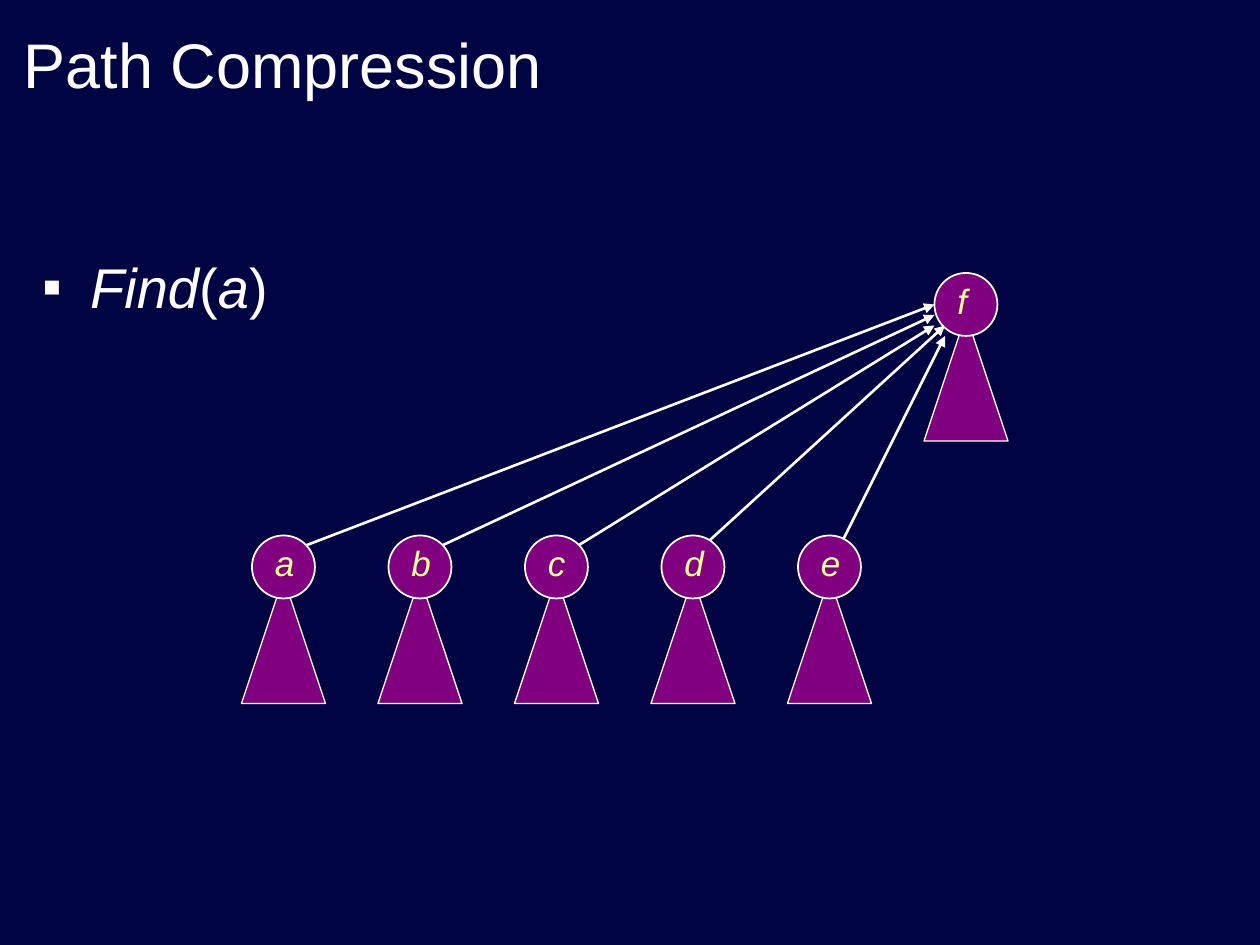
from dataclasses import dataclass

from lxml import etree
from pptx import Presentation
from pptx.dml.color import RGBColor
from pptx.enum import shapes, text
from pptx.oxml import ns
from pptx.util import Pt


@dataclass(frozen=True)
class Theme:
    font: str = "Arial"
    background: RGBColor = RGBColor(0x01, 0x04, 0x42)
    ink: RGBColor = RGBColor(0xFF, 0xFF, 0xFF)
    node: RGBColor = RGBColor(0x80, 0x00, 0x80)
    label: RGBColor = RGBColor(0xFF, 0xFF, 0x99)
    title_size: int = 36
    body_size: int = 32
    label_size: int = 20


@dataclass(frozen=True)
class Node:
    """A set element; left and top locate its circle."""
    name: str
    left: float
    top: float


@dataclass(frozen=True)
class Link:
    start: tuple[float, float]
    end: tuple[float, float]


THEME = Theme()
CIRCLE = 36
CHILD_LEFT, CHILD_TOP, CHILD_STEP = 144, 306, 78
CHILDREN = [Node(name, CHILD_LEFT + i * CHILD_STEP, CHILD_TOP)
            for i, name in enumerate("abcde")]
ROOT = Node("f", 534, 156)
START_OFFSETS = [30, 30, 30, 24, 24]
END_POINTS = [(534, 174), (534, 180), (534, 186), (540, 186), (540, 192)]
LINKS = [Link((child.left + offset, child.top + 6), end)
         for child, offset, end in zip(CHILDREN, START_OFFSETS, END_POINTS)]


def add_text(parent, area: tuple, spans: list[tuple[str, bool]], size: int,
             color: RGBColor, anchor=text.MSO_ANCHOR.TOP):
    """Add a one-paragraph box; each span is its wording and whether it is italic."""
    box = parent.add_textbox(*map(Pt, area))
    frame = box.text_frame
    frame.word_wrap = True
    frame.vertical_anchor = anchor
    para = frame.paragraphs[0]
    for wording, italic in spans:
        span = para.add_run()
        span.text = wording
        span.font.italic = italic
    para.font.name = THEME.font
    para.font.size = Pt(size)
    para.font.color.rgb = color
    for span in para.runs:
        span.font.name = THEME.font
        span.font.size = Pt(size)
        span.font.color.rgb = color
    return para


def add_bullet(para, indent: float) -> None:
    properties = para._p.get_or_add_pPr()
    properties.set("marL", str(Pt(indent)))
    properties.set("indent", str(-Pt(indent)))
    color = etree.Element(ns.qn("a:buClr"))
    etree.SubElement(color, ns.qn("a:srgbClr"), val=str(THEME.ink))
    font = etree.Element(ns.qn("a:buFont"), typeface=THEME.font)
    mark = etree.Element(ns.qn("a:buChar"), char="▪")
    for position, element in enumerate((color, font, mark)):
        properties.insert(position, element)


def add_outline(parent, kind, area: tuple, line_width: float) -> None:
    shape = parent.add_shape(kind, *map(Pt, area))
    shape.shadow.inherit = False
    shape.fill.solid()
    shape.fill.fore_color.rgb = THEME.node
    shape.line.color.rgb = THEME.ink
    shape.line.width = Pt(line_width)


def add_node(page, node: Node) -> None:
    """Group the circle, the subtree triangle below it and the label."""
    parts = page.shapes.add_group_shape().shapes
    add_outline(parts, shapes.MSO_SHAPE.ISOSCELES_TRIANGLE,
                (node.left - 6, node.top + 24, 48, 72), 0.75)
    add_outline(parts, shapes.MSO_SHAPE.OVAL,
                (node.left, node.top, CIRCLE, CIRCLE), 1)
    add_text(parts, (node.left + 6, node.top, 30, 32), [(node.name, True)],
             THEME.label_size, THEME.label)


def add_arrow(page, link: Link) -> None:
    arrow = page.shapes.add_connector(
        shapes.MSO_CONNECTOR.STRAIGHT, *map(Pt, link.start + link.end))
    arrow.line.color.rgb = THEME.ink
    arrow.line.width = Pt(1.5)
    etree.SubElement(arrow.line._get_or_add_ln(), ns.qn("a:tailEnd"), type="triangle")
    etree.SubElement(arrow._element.spPr, ns.qn("a:effectLst"))


def main() -> None:
    deck = Presentation()
    deck.slide_width, deck.slide_height = Pt(720), Pt(540)
    page = deck.slides.add_slide(deck.slide_layouts[6])
    page.background.fill.solid()
    page.background.fill.fore_color.rgb = THEME.background

    for link in LINKS:
        add_arrow(page, link)
    add_text(page.shapes, (6.5, 0, 648, 72), [("Path Compression", False)],
             THEME.title_size, THEME.ink, text.MSO_ANCHOR.MIDDLE)
    call = add_text(page.shapes, (17.5, 140.5, 346, 60),
                    [("Find", True), ("(", False), ("a", True), (")", False)],
                    THEME.body_size, THEME.ink)
    add_bullet(call, 27)
    for node in CHILDREN + [ROOT]:
        add_node(page, node)
    deck.save("out.pptx")


if __name__ == "__main__":
    main()
